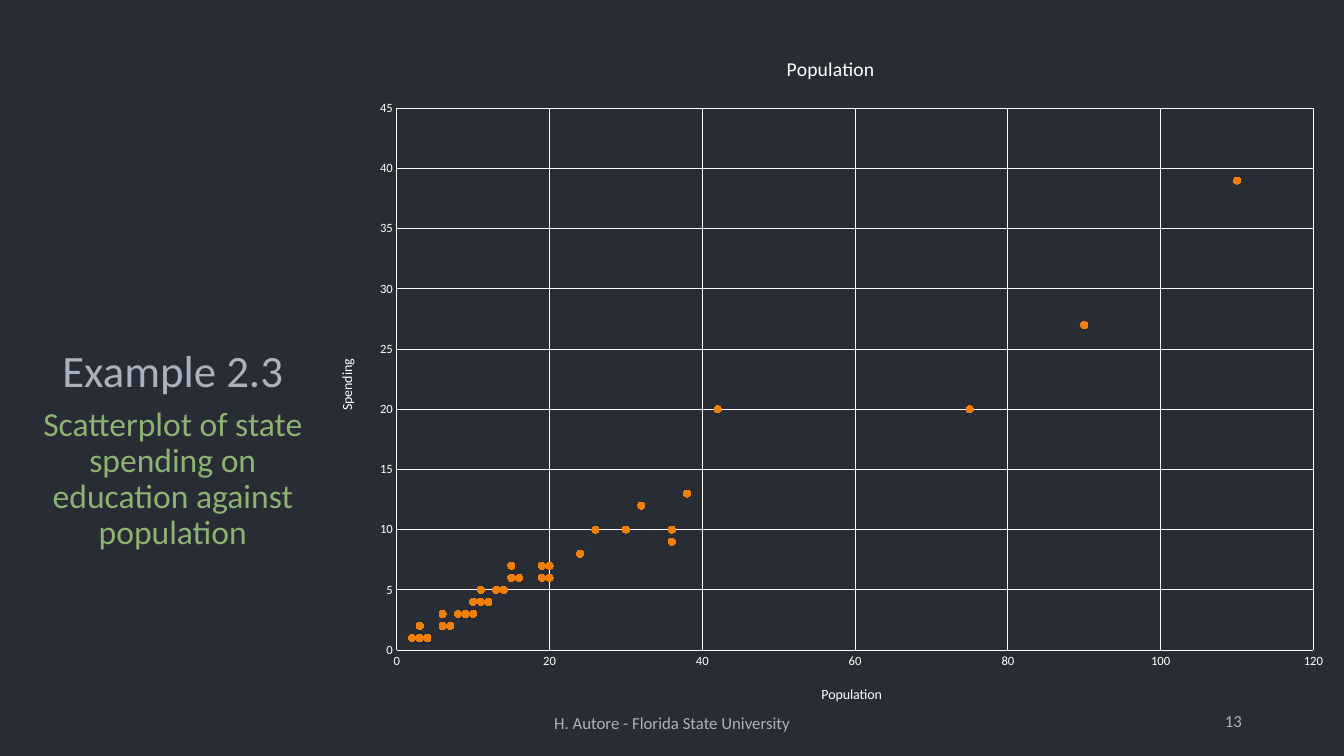
from dataclasses import dataclass
from typing import Any

import pptx
import pptx.chart.data
import pptx.dml.color
import pptx.enum.chart
import pptx.enum.text
import pptx.util

Cm = pptx.util.Cm
Pt = pptx.util.Pt
ALIGN = pptx.enum.text.PP_ALIGN
ANCHOR = pptx.enum.text.MSO_ANCHOR

FACE = "Calibri"
DARK, WHITE, GREY = "282C34", "FFFFFF", "ABB2BF"
GREEN, ORANGE = "8CB371", "F07F09"

# State population and spending
POINTS = [
    (13, 5), (4, 1), (15, 7), (9, 3), (110, 39), (14, 5), (12, 4), (4, 1),
    (42, 20), (26, 10), (4, 1), (3, 2), (38, 13), (19, 7), (10, 3), (9, 3),
    (12, 4), (13, 5), (3, 1), (20, 6), (20, 7), (36, 10), (16, 6), (8, 3),
    (16, 6), (3, 1), (6, 2), (6, 3), (4, 1), (36, 9), (7, 2), (75, 20),
    (30, 10), (3, 1), (32, 12), (10, 4), (11, 4), (38, 13), (3, 1), (11, 5),
    (2, 1), (15, 6), (90, 27), (9, 3), (2, 1), (24, 8), (20, 7), (6, 2),
    (19, 6), (3, 1),
]


@dataclass
class Label:
    text: str
    box: tuple[float, float, float, float]
    size: int
    tint: str
    align: Any
    anchor: Any
    space: float = 1.0


@dataclass
class Scale:
    axis: Any
    name: str
    top: int
    step: int


def color(code: str) -> pptx.dml.color.RGBColor:
    return pptx.dml.color.RGBColor.from_string(code)


def apply(item: Any, form: dict[str, Any]) -> None:
    for key, value in form.items():
        setattr(item, key, value)


def style(font: Any, size: int, tint: str) -> None:
    apply(font, {"name": FACE, "size": Pt(size), "bold": False})
    font.color.rgb = color(tint)


def write(shape: Any, label: Label) -> None:
    sides = ("left", "top", "width", "height")
    apply(shape, {side: Cm(n) for side, n in zip(sides, label.box)})
    frame = shape.text_frame
    apply(frame, {"text": label.text, "word_wrap": True,
                  "vertical_anchor": label.anchor,
                  "auto_size": pptx.enum.text.MSO_AUTO_SIZE.NONE})
    para = frame.paragraphs[0]
    apply(para, {"alignment": label.align, "line_spacing": label.space,
                 "space_before": Pt(0)})
    style(para.runs[0].font, label.size, label.tint)


def entitle(title: Any, text: str, size: int) -> None:
    frame = title.text_frame
    frame.text = text
    style(frame.paragraphs[0].runs[0].font, size, WHITE)


def rule(line: Any) -> None:
    line.color.rgb = color(WHITE)
    line.width = Pt(0.75)


def draw_axis(scale: Scale) -> None:
    none = pptx.enum.chart.XL_TICK_MARK.NONE
    axis = scale.axis
    apply(axis, {"minimum_scale": 0, "maximum_scale": scale.top,
                 "major_unit": scale.step, "has_major_gridlines": True,
                 "major_tick_mark": none, "minor_tick_mark": none})
    rule(axis.format.line)
    rule(axis.major_gridlines.format.line)
    style(axis.tick_labels.font, 9, WHITE)
    entitle(axis.axis_title, scale.name, 10)


def draw_chart(slide: Any) -> None:
    data = pptx.chart.data.XyChartData()
    states = data.add_series("Population")
    for people, spend in POINTS:
        states.add_data_point(people, spend)
    chart = slide.shapes.add_chart(
        pptx.enum.chart.XL_CHART_TYPE.XY_SCATTER,
        Cm(8), Cm(0.81), Cm(25.86), Cm(17.42), data).chart
    style(chart.font, 10, WHITE)
    apply(chart, {"has_legend": False, "has_title": True})
    entitle(chart.chart_title, "Population", 14)
    chart.chart_title.include_in_layout = False

    # Axes
    for scale in (Scale(chart.category_axis, "Population", 120, 20),
                  Scale(chart.value_axis, "Spending", 45, 5)):
        draw_axis(scale)

    # Markers
    plot = chart.plots[0]
    plot.vary_by_categories = False
    dots = plot.series[0]
    dots.smooth = False
    dots.format.line.fill.background()
    apply(dots.marker, {"style": pptx.enum.chart.XL_MARKER_STYLE.CIRCLE,
                        "size": 5})
    fill = dots.marker.format.fill
    fill.solid()
    fill.fore_color.rgb = color(ORANGE)
    dots.marker.format.line.color.rgb = color(ORANGE)


def main() -> None:
    deck = pptx.Presentation()
    apply(deck, {"slide_width": Cm(33.87), "slide_height": Cm(19.05)})
    slide = deck.slides.add_slide(deck.slide_layouts[7])
    back = slide.background.fill
    back.solid()
    back.fore_color.rgb = color(DARK)

    # Title and caption
    holders = slide.placeholders
    write(slide.shapes.title,
          Label("Example 2.3", (0.71, 0.58, 7.29, 9.55), 32, GREY,
                ALIGN.CENTER, ANCHOR.BOTTOM, 0.9))
    write(holders[2],
          Label("Scatterplot of state spending on education against population",
                (0.71, 10.13, 7.29, 7.52), 24, GREEN,
                ALIGN.CENTER, ANCHOR.TOP, 0.9))
    spare = holders[1].element
    spare.getparent().remove(spare)

    draw_chart(slide)

    # Footer and page number
    for label in (
        Label("13", (28.07, 17.65, 3.48, 1.02), 12, GREY,
              ALIGN.RIGHT, ANCHOR.MIDDLE),
        Label("H. Autore - Florida State University",
              (6.78, 17.7, 20.32, 1.02), 12, GREY,
              ALIGN.CENTER, ANCHOR.MIDDLE),
    ):
        write(slide.shapes.add_textbox(0, 0, 0, 0), label)

    deck.save("out.pptx")


if __name__ == "__main__":
    main()
